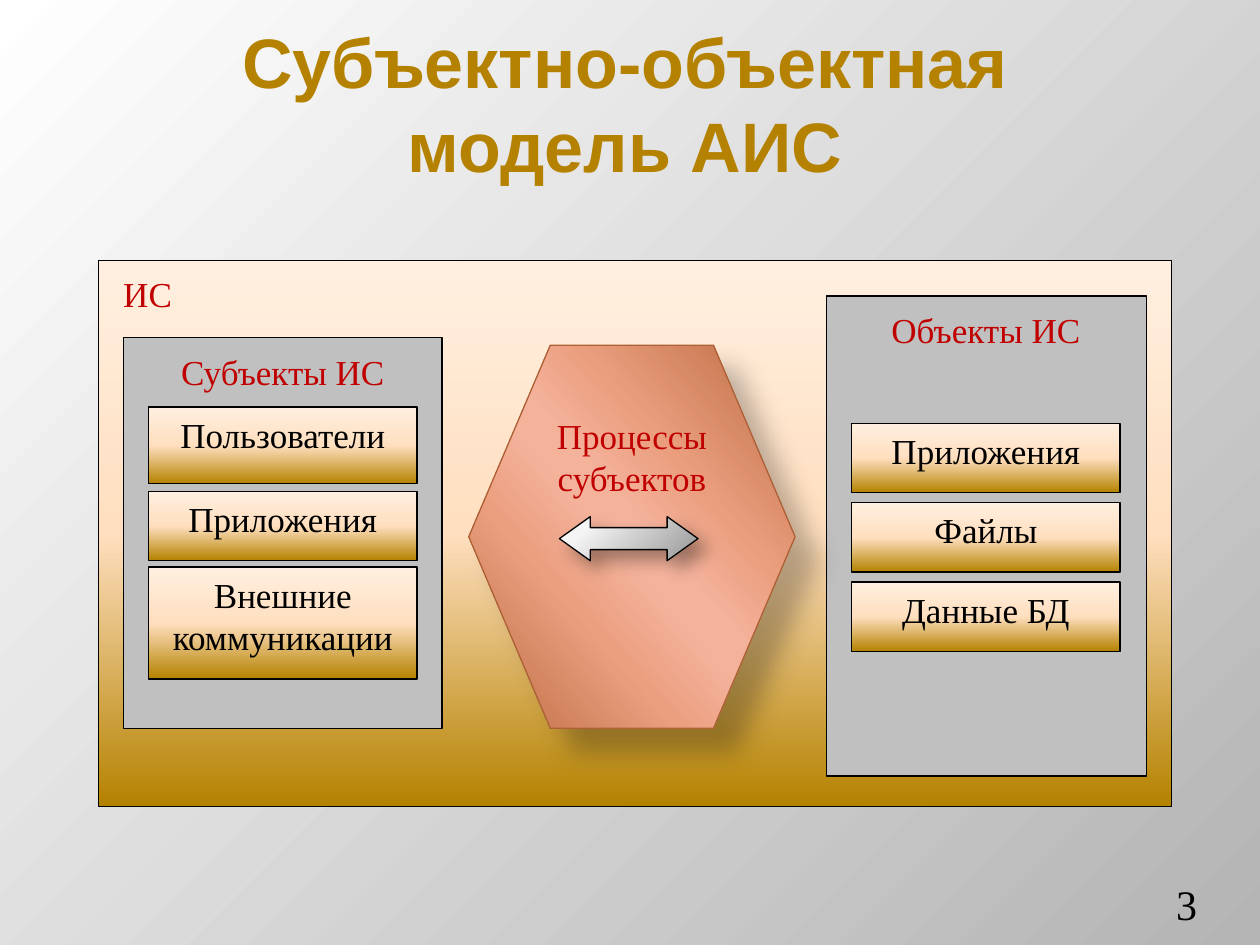
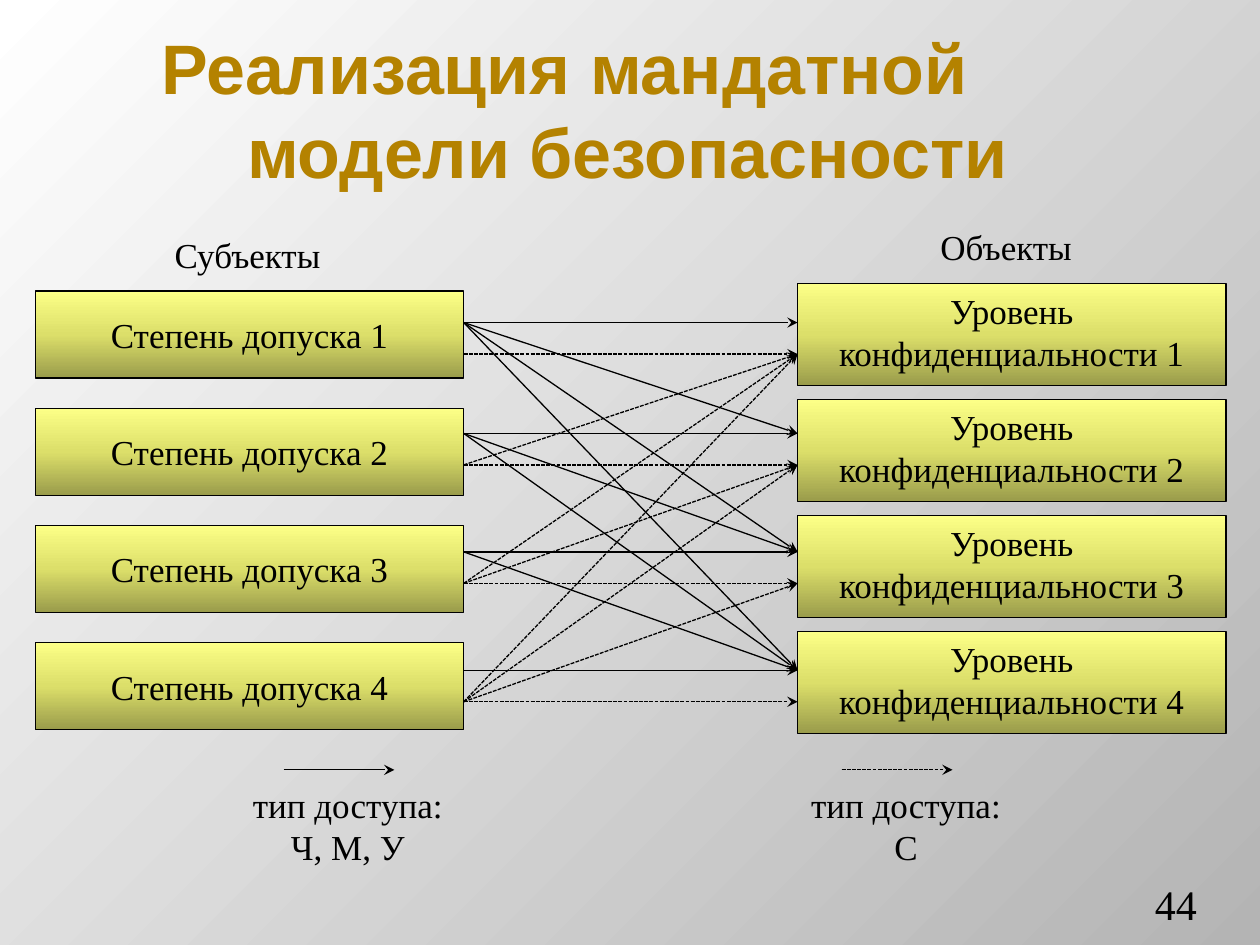
from dataclasses import dataclass

from lxml import etree
from pptx import Presentation
from pptx import util as u
from pptx.dml.color import RGBColor
from pptx.enum import dml, shapes, text
from pptx.oxml import ns

AL, ANC, SHP = text.PP_ALIGN, text.MSO_ANCHOR, shapes.MSO_SHAPE


@dataclass(frozen=True)
class Theme:
    """Colours, gradients, fonts and type sizes of the deck."""
    gold: str = "B48200"
    red: str = "C00000"
    ink: str = "000000"
    gray: str = "C0C0C0"
    rim: str = "AE6035"
    head: str = "Arial"
    body: str = "Times New Roman"
    big: int = 40
    mid: int = 24
    base: int = 20
    thin: float = 0.75
    back: tuple = ((0, "FFFFFF"), (100, "B4B4B4"))
    sand: tuple = ((0, "B48200"), (50, "FFDFBF"), (100, "FFEFE0"))
    lime: tuple = ((0, "9A9C4B"), (50, "DCDF6A"), (100, "FCFF87"))
    clay: tuple = ((0, "BA6B41"), (33, "EB9E7E"), (47, "F4B29B"),
                   (53, "F4B29B"), (68, "EB9F7F"), (100, "BA6B41"))
    steel: tuple = ((20, "F5F5F5"), (100, "979797"))


T = Theme()


def rgb(code):
    """Turn a hex code into a colour."""
    return RGBColor.from_string(code)


def node(root, tag, **atts):
    """Append a DrawingML element."""
    return etree.SubElement(root, ns.qn("a:" + tag),
                            {k: str(v) for k, v in atts.items()})


def blend(fill, stops, angle=270, rect=None):
    """Make a fill a linear gradient, or a circular one round rect."""
    fill.gradient()
    grad = fill._fill._gradFill
    for kid in list(grad):
        grad.remove(kid)
    row = node(grad, "gsLst")
    for pos, code in stops:
        node(node(row, "gs", pos=pos * 1000), "srgbClr", val=code)
    if rect:
        ring = node(grad, "path", path="circle")
        sides = (n * 1000 for n in rect)
        node(ring, "fillToRect", **dict(zip("ltrb", sides)))
    else:
        node(grad, "lin", ang=angle * 60000, scaled=0)


def shade(shape, alpha, blur, dist):
    """Cast a soft black shadow to the lower right."""
    shape.shadow.inherit = False
    fx = shape._element.spPr.find(ns.qn("a:effectLst"))
    out = node(fx, "outerShdw", blurRad=u.Pt(blur), dist=u.Pt(dist),
               dir=45 * 60000, algn="tl", rotWithShape=0)
    node(node(out, "srgbClr", val=T.ink), "alpha", val=alpha * 1000)


def write(shape, *lines, color=T.ink, size=T.base, face=T.body, bold=False,
          align=AL.CENTER, anchor=ANC.TOP, pad=(0.1, 0.05, 0.1, 0.05)):
    """Fill a shape with paragraphs in one style."""
    frame = shape.text_frame
    frame.word_wrap = True
    frame.vertical_anchor = anchor
    (frame.margin_left, frame.margin_top,
     frame.margin_right, frame.margin_bottom) = map(u.Inches, pad)
    for i, line in enumerate(lines):
        par = frame.add_paragraph() if i else frame.paragraphs[0]
        par.text = line
        par.alignment = align
        font = par.font
        font.name, font.size, font.bold = face, u.Pt(size), bold
        font.color.rgb = rgb(color)
    return frame


def shape(slide, at, fill, kind=SHP.RECTANGLE, edge=T.ink, **opts):
    """Add a preset shape with a plain colour or a gradient."""
    box = slide.shapes.add_shape(kind, *map(u.Inches, at))
    box.shadow.inherit = False
    if isinstance(fill, str):
        box.fill.solid()
        box.fill.fore_color.rgb = rgb(fill)
    else:
        blend(box.fill, fill, **opts)
    if edge:
        box.line.color.rgb = rgb(edge)
        box.line.width = u.Pt(T.thin)
    else:
        box.line.fill.background()
    return box


def label(slide, at, *lines, **style):
    """Add a text box."""
    return write(slide.shapes.add_textbox(*map(u.Inches, at)), *lines, **style)


def arrow(slide, start, end, dash=False):
    """Add a solid or dashed line with a stealth head."""
    line = slide.shapes.add_connector(
        shapes.MSO_CONNECTOR.STRAIGHT, *map(u.Inches, start + end))
    line.line.color.rgb = rgb(T.ink)
    line.line.width = u.Pt(T.thin)
    if dash:
        line.line.dash_style = dml.MSO_LINE.SQUARE_DOT
    node(line.line._get_or_add_ln(), "tailEnd", type="stealth")
    node(line._element.spPr, "effectLst")


def page(deck, at, lines, number):
    """Add a slide with background, title and number."""
    slide = deck.slides.add_slide(deck.slide_layouts[6])
    blend(slide.background.fill, T.back, rect=(0, 0, 100, 100))
    title = label(slide, at, *lines, color=T.gold, size=T.big, face=T.head,
                  bold=True, anchor=ANC.BOTTOM, pad=(0.05, 0.05, 0.05, 0))
    label(slide, (8.67, 7.02, 0.83, 0.4), number, size=T.mid, align=AL.RIGHT,
          anchor=ANC.BOTTOM, pad=(0, 0.05, 0, 0.05))
    return slide, title


def panel(slide, at, name, items):
    """Add a gray panel with a red heading and sand tiles."""
    left, top, width, _ = at
    shape(slide, at, T.gray)
    inner = left + 0.2
    head = shape(slide, (inner, top + 0.05, 2.13, 0.5), T.gray, edge=None)
    write(head, name, color=T.red)
    for item, y, high in items:
        write(shape(slide, (inner, y, 2.13, high), T.sand), item)


def model(deck):
    """Build the subject and object model slide."""
    slide, _ = page(deck, (0.78, 0.91, 8.36, 0.57),
                    ["Субъектно-объектная модель АИС"], "3")
    shape(slide, (0.78, 2.07, 8.52, 4.33), T.sand)
    panel(slide, (0.98, 2.68, 2.53, 3.1), "Субъекты ИС",
          [("Пользователи", 3.23, 0.61), ("Приложения", 3.9, 0.55),
           ("Внешние коммуникации", 4.5, 0.89)])
    panel(slide, (6.56, 2.35, 2.54, 3.81), "Объекты ИС",
          [(name, 3.36 + 0.63 * i, 0.55) for i, name in
           enumerate(("Приложения", "Файлы", "Данные БД"))])
    hexa = shape(slide, (3.72, 2.74, 2.59, 3.04), T.clay, SHP.HEXAGON,
                 T.rim, angle=139)
    shade(hexa, 26, 15, 18)
    write(hexa, "Процессы субъектов", color=T.red,
          pad=(0.02, 0.04, 0.02, 0.04))
    label(slide, (0.88, 2.11, 2.13, 0.57), "ИС", color=T.red, align=AL.LEFT)
    both = shape(slide, (4.44, 4.1, 1.1, 0.35), T.steel,
                 SHP.LEFT_RIGHT_ARROW, rect=(-15, -15, 115, 115))
    both.adjustments[1] = 0.7
    shade(both, 35, 10.2, 8)


def access(deck):
    """Build the mandatory access slide."""
    slide, title = page(deck, (0.98, 0.27, 8, 1.26),
                        ["Реализация мандатной", "модели безопасности"], "44")
    first = title.paragraphs[0]
    first.alignment = AL.LEFT
    first._p.get_or_add_pPr().set("marL", str(u.Inches(0.25)))
    sides = ((0.28, 2.31, 0.93, 0.69, "Степень допуска", ANC.MIDDLE),
             (6.33, 2.25, 0.92, 0.81, "Уровень конфиденциальности", ANC.TOP))
    for x, top, step, high, name, anchor in sides:
        for i in range(4):
            box = shape(slide, (x, top + step * i, 3.4, high), T.lime)
            write(box, f"{name} {i + 1}", anchor=anchor)
    for x, y, name in ((0.55, 1.84, "Субъекты"), (6.57, 1.78, "Объекты")):
        label(slide, (x, y, 2.83, 0.38), name, pad=(0.1, 0.01, 0.1, 0.01))
    rows = (2.56, 3.44, 4.38, 5.32)
    for i, start in enumerate(rows):
        for end in rows[i:]:
            arrow(slide, (3.68, start), (6.33, end))
        for end in rows[:i + 1]:
            arrow(slide, (3.68, start + 0.25), (6.33, end + 0.25), True)
    for x, kinds, dash in ((1.9, "Ч, М, У", False), (6.33, "С", True)):
        arrow(slide, (x + 0.35, 6.11), (x + 1.23, 6.11), dash)
        label(slide, (x, 6.17, 1.72, 0.77), f"тип доступа: {kinds}")


def main():
    """Build and save the deck."""
    deck = Presentation()
    deck.slide_width, deck.slide_height = u.Inches(10), u.Inches(7.5)
    model(deck)
    access(deck)
    deck.save("out.pptx")


if __name__ == "__main__":
    main()
